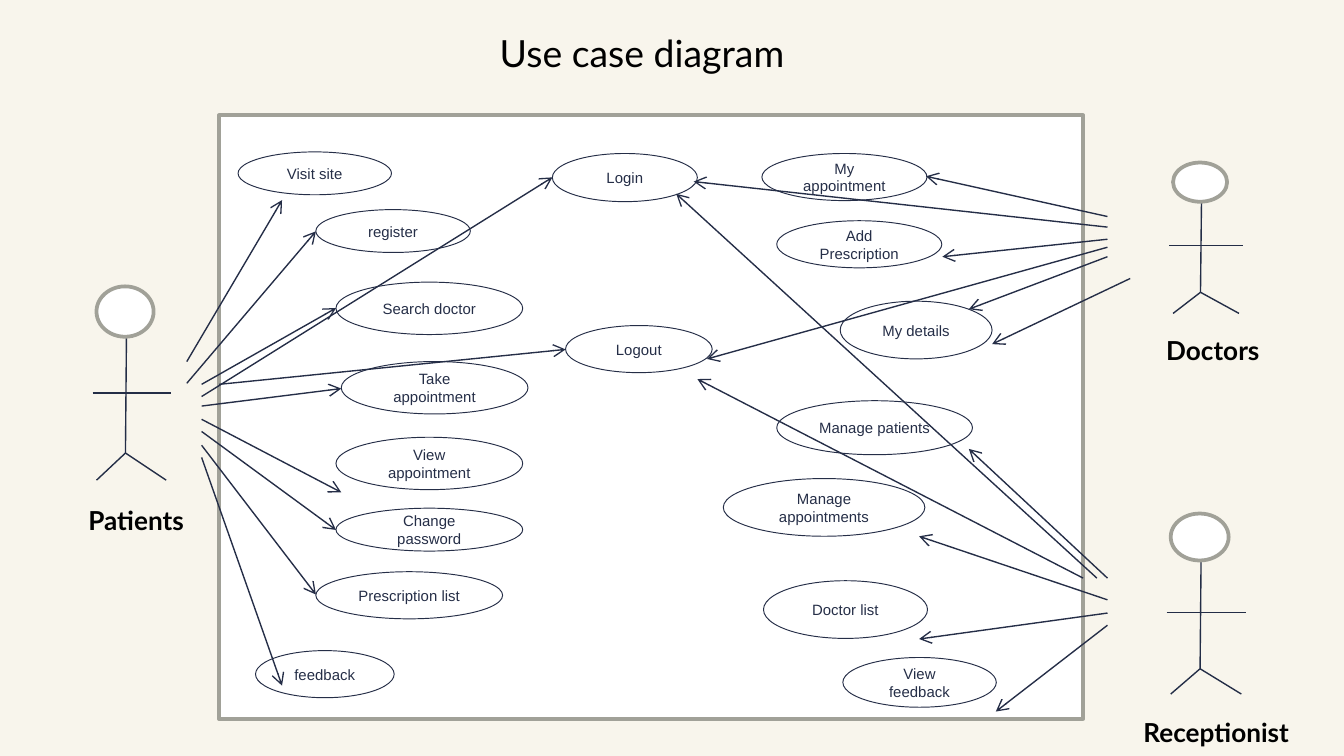
"""Build the use case diagram slide of a clinic booking system."""
import pptx
import pptx.dml.color
import pptx.enum.shapes
import pptx.enum.text
import pptx.oxml
import pptx.oxml.ns
import pptx.util

Cm = pptx.util.Cm
Pt = pptx.util.Pt
RGBColor = pptx.dml.color.RGBColor
Shape = pptx.enum.shapes.MSO_SHAPE
Align = pptx.enum.text.PP_ALIGN
Anchor = pptx.enum.text.MSO_ANCHOR

CREAM = RGBColor(0xF8, 0xF5, 0xEC)
WHITE = RGBColor(0xFF, 0xFF, 0xFF)
BLACK = RGBColor(0x00, 0x00, 0x00)
GREY = RGBColor(0xA1, 0xA1, 0x98)
NAVY = RGBColor(0x25, 0x2E, 0x47)
INK = RGBColor(0x23, 0x2D, 0x46)

deck = pptx.Presentation()
deck.slide_width = Cm(25.4)
deck.slide_height = Cm(14.28)
slide = deck.slides.add_slide(deck.slide_layouts[5])
slide.background.fill.solid()
slide.background.fill.fore_color.rgb = CREAM


def add_form(kind, left, top, width, height, line, weight):
    form = slide.shapes.add_shape(kind, Cm(left), Cm(top), Cm(width), Cm(height))
    form.shadow.inherit = False
    form.fill.solid()
    form.fill.fore_color.rgb = WHITE
    form.line.color.rgb = line
    form.line.width = Pt(weight)
    return form


def add_line(x1, y1, x2, y2, color, arrow=False):
    line = slide.shapes.add_connector(
        pptx.enum.shapes.MSO_CONNECTOR.STRAIGHT, Cm(x1), Cm(y1), Cm(x2), Cm(y2))
    line.line.color.rgb = color
    line.line.width = Pt(0.75)
    if arrow:
        tail = pptx.oxml.parse_xml(
            f'<a:tailEnd {pptx.oxml.ns.nsdecls("a")} type="arrow"/>')
        line.line._get_or_add_ln().append(tail)
    line._element.spPr.append(
        pptx.oxml.parse_xml(f'<a:effectLst {pptx.oxml.ns.nsdecls("a")}/>'))


title = slide.shapes.title
title.left, title.top, title.width, title.height = Cm(9.19), Cm(0.43), Cm(6.68), Cm(1.12)
title.text_frame.text = "Use case diagram"
title.text_frame.auto_size = pptx.enum.text.MSO_AUTO_SIZE.NONE
para = title.text_frame.paragraphs[0]
para.alignment = Align.LEFT
para.font.name = "Lato"
para.font.size = Pt(20)
para.font.color.rgb = BLACK

add_form(Shape.RECTANGLE, 4.14, 2.18, 16.33, 11.4, GREY, 2)

cases = [
    ("Visit site", 4.5, 2.87, 2.9, 0.81),
    ("register", 5.97, 3.96, 2.92, 0.81),
    ("Search doctor", 6.35, 5.33, 3.53, 0.99),
    ("Take appointment", 6.45, 6.83, 3.53, 0.99),
    ("View appointment", 6.35, 8.26, 3.53, 0.99),
    ("Change password", 6.35, 9.6, 3.53, 0.81),
    ("Prescription list", 5.97, 10.8, 3.53, 0.89),
    ("feedback", 4.83, 12.29, 2.62, 0.89),
    ("Login", 10.44, 2.9, 2.74, 0.91),
    ("Logout", 10.69, 6.15, 2.77, 0.89),
    ("My appointment", 14.4, 2.9, 3.12, 0.89),
    ("Add Prescription", 14.68, 4.17, 3.12, 0.89),
    ("My details", 15.88, 5.69, 2.87, 1.09),
    ("Manage patients", 14.68, 7.57, 3.7, 1.02),
    ("Manage appointments", 13.67, 9.04, 3.81, 1.09),
    ("Doctor list", 14.43, 10.97, 3.1, 1.09),
    ("View feedback", 15.93, 12.42, 2.9, 0.94),
]
for name, left, top, width, height in cases:
    case = add_form(Shape.OVAL, left, top, width, height, NAVY, 0.5)
    case.text_frame.text = name
    case.text_frame.word_wrap = True
    case.text_frame.vertical_anchor = Anchor.MIDDLE
    para = case.text_frame.paragraphs[0]
    para.alignment = Align.CENTER
    para.font.name = "Arial"
    para.font.size = Pt(8)
    para.font.color.rgb = NAVY

actors = [
    ("Patients", 1.75, 5.41, 1.48, 3.66, 1.42, 9.4, 2.57),
    ("Doctors", 22.1, 3.07, 1.4, 2.85, 21.79, 6.2, 2.57),
    ("Receptionist", 22.05, 9.7, 1.5, 3.41, 21.36, 13.41, 4.01),
]
for name, left, top, width, height, text_left, text_top, text_width in actors:
    spine = left + 0.42 * width
    hip = top + 0.86 * height
    arm = top + 0.55 * height
    foot = top + height
    add_line(spine + 0.02, top + 0.22 * height, spine, hip, INK)
    add_line(left, arm, left + width, arm, INK)
    for side in (0.05, 0.94):
        add_line(spine, hip, left + side * width, foot, INK)
    add_form(Shape.OVAL, left + 0.05 * width, top, 0.73 * width, 0.26 * height, GREY, 2)
    label = slide.shapes.add_textbox(Cm(text_left), Cm(text_top), Cm(text_width), Cm(0.86))
    label.text_frame.word_wrap = True
    label.text_frame.text = name
    para = label.text_frame.paragraphs[0]
    para.font.name = "Lato"
    para.font.size = Pt(14)
    para.font.bold = True
    para.font.color.rgb = BLACK

arrows = [
    (3.53, 6.83, 5.33, 3.78),
    (3.53, 7.24, 5.97, 4.37),
    (3.81, 7.26, 6.35, 5.82),
    (3.81, 7.67, 6.45, 7.34),
    (3.81, 7.92, 6.45, 9.3),
    (3.81, 8.15, 6.35, 10.01),
    (3.81, 8.41, 5.97, 11.23),
    (3.81, 8.64, 5.33, 12.95),
    (4.14, 7.26, 10.69, 6.6),
    (3.81, 7.49, 10.44, 3.35),
    (20.93, 4.09, 17.5, 3.33),
    (20.93, 4.52, 17.81, 4.85),
    (20.93, 4.85, 18.31, 5.84),
    (20.93, 4.29, 13.11, 3.43),
    (20.93, 4.67, 13.36, 6.78),
    (21.36, 5.26, 18.75, 6.5),
    (20.93, 10.92, 18.31, 8.48),
    (20.93, 11.33, 17.37, 10.13),
    (20.93, 11.58, 17.37, 12.07),
    (20.93, 11.81, 18.82, 13.44),
    (20.73, 10.92, 12.78, 3.66),
    (20.47, 10.92, 13.18, 7.16),
]
for ends in arrows:
    add_line(*ends, NAVY, arrow=True)

deck.save("out.pptx")
